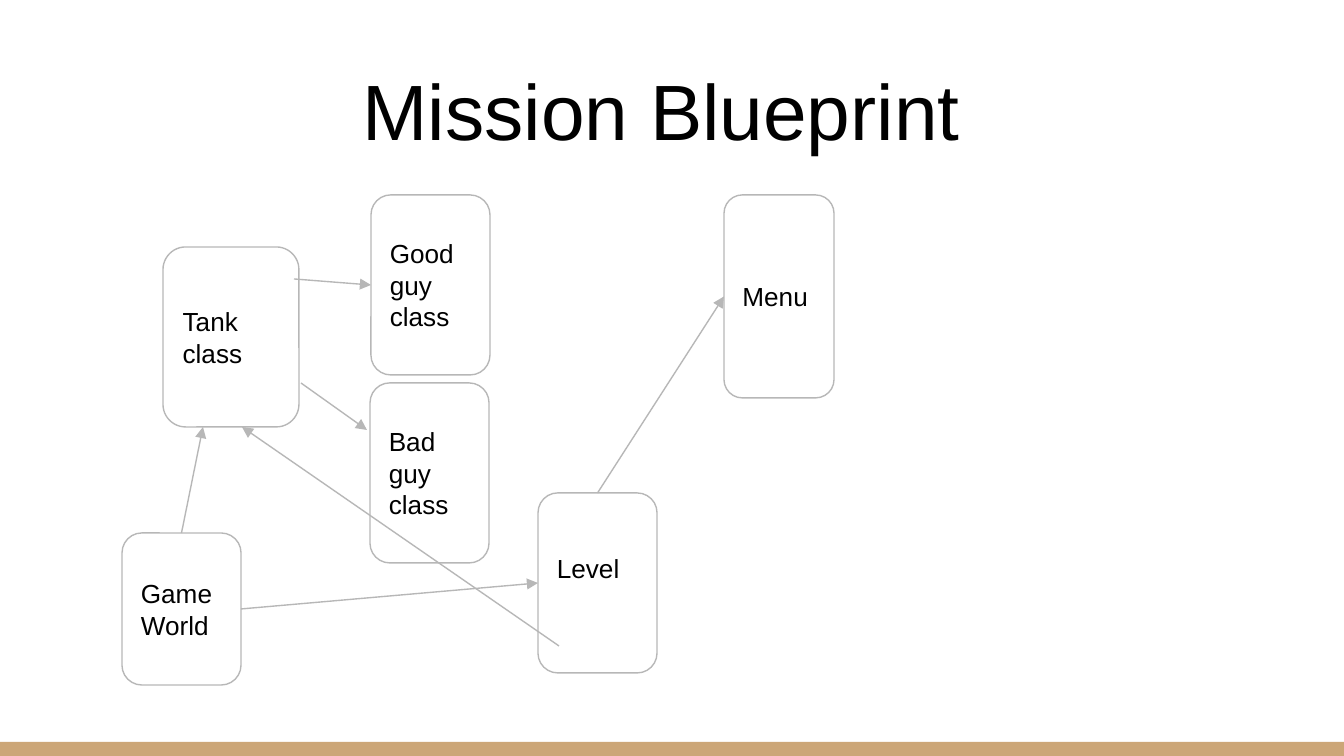
import lxml.etree
import pptx
import pptx.dml.color
import pptx.enum.shapes
import pptx.enum.text
import pptx.oxml.ns
import pptx.util

RGBColor = pptx.dml.color.RGBColor
WHITE = RGBColor(0xFF, 0xFF, 0xFF)
BLACK = RGBColor(0x00, 0x00, 0x00)
GRAY = RGBColor(0xB7, 0xB7, 0xB7)
TAN = RGBColor(0xCC, 0xA6, 0x77)

FONT = "Arial"
PX_PER_INCH = 134.4
INSET = 13
TOP, LEFT, BOTTOM, RIGHT = range(4)


def px(length):
    """Turn whole px into EMU."""
    return pptx.util.Emu(round(length * 914400 / PX_PER_INCH))


def write_text(shape, text, size=14, align=pptx.enum.text.PP_ALIGN.LEFT,
               anchor=pptx.enum.text.MSO_ANCHOR.MIDDLE, bottom_inset=INSET):
    frame = shape.text_frame
    frame.word_wrap = True
    frame.auto_size = pptx.enum.text.MSO_AUTO_SIZE.NONE
    frame.vertical_anchor = anchor
    frame.margin_left = frame.margin_right = frame.margin_top = px(INSET)
    frame.margin_bottom = px(bottom_inset)
    paragraph = frame.paragraphs[0]
    paragraph.alignment = align
    run = paragraph.add_run()
    run.text = text
    run.font.size = pptx.util.Pt(size)
    run.font.name = FONT
    run.font.color.rgb = BLACK


class Diagram:
    """Style and elements of the class diagram slide."""

    line_width = pptx.util.Pt(0.75)

    def __init__(self, slide):
        self.slide = slide

    def title(self, text, left, top, width, height):
        shape = self.slide.shapes.title
        shape.left, shape.top = px(left), px(top)
        shape.width, shape.height = px(width), px(height)
        write_text(shape, text, size=42, align=pptx.enum.text.PP_ALIGN.CENTER,
                   anchor=pptx.enum.text.MSO_ANCHOR.BOTTOM)

    def bar(self, left, top, width, height):
        shape = self.slide.shapes.add_shape(
            pptx.enum.shapes.MSO_SHAPE.RECTANGLE,
            px(left), px(top), px(width), px(height))
        shape.shadow.inherit = False
        shape.fill.solid()
        shape.fill.fore_color.rgb = TAN
        shape.line.fill.background()

    def box(self, text, left, top, width=119, height=180, **text_format):
        shape = self.slide.shapes.add_shape(
            pptx.enum.shapes.MSO_SHAPE.ROUNDED_RECTANGLE,
            px(left), px(top), px(width), px(height))
        shape.shadow.inherit = False
        shape.fill.solid()
        shape.fill.fore_color.rgb = WHITE
        shape.line.color.rgb = GRAY
        shape.line.width = self.line_width
        write_text(shape, text, **text_format)
        return shape

    def arrow(self, start, end):
        """Each end is a point (x, y) in px or a pair (box, side)."""
        points = [(0, 0) if hasattr(place[0], "text_frame") else place
                  for place in (start, end)]
        (x1, y1), (x2, y2) = points
        connector = self.slide.shapes.add_connector(
            pptx.enum.shapes.MSO_CONNECTOR.STRAIGHT,
            px(x1), px(y1), px(x2), px(y2))
        for place, connect in ((start, connector.begin_connect),
                               (end, connector.end_connect)):
            if hasattr(place[0], "text_frame"):
                connect(*place)
        connector.line.color.rgb = GRAY
        connector.line.width = self.line_width
        qn = pptx.oxml.ns.qn
        lxml.etree.SubElement(connector.line._get_or_add_ln(),
                              qn("a:tailEnd"), type="triangle")
        lxml.etree.SubElement(connector._element.spPr, qn("a:effectLst"))


def main():
    presentation = pptx.Presentation()
    presentation.slide_width = px(1344)
    presentation.slide_height = px(756)
    title_only = presentation.slide_layouts[5]
    diagram = Diagram(presentation.slides.add_slide(title_only))

    # Footer bar and title
    diagram.bar(0, 742, 1344, 14)
    diagram.title("Mission Blueprint ", 46, 47, 1252, 122)

    # Class boxes
    diagram.box("Tank class", 163, 247, width=136)
    good_guy = diagram.box("Good guy class", 371, 195)
    diagram.box("Bad guy class", 370, 383)
    game_world = diagram.box("Game World", 122, 533, height=152)
    level = diagram.box("Level", 538, 493, bottom_inset=INSET + 30)
    menu = diagram.box("Menu", 724, 195, width=110, height=203)

    # Arrows between the classes
    diagram.arrow((294, 279), (good_guy, LEFT))
    diagram.arrow((301, 383), (367, 430))
    diagram.arrow((game_world, TOP), (203, 427))
    diagram.arrow((game_world, RIGHT), (level, LEFT))
    diagram.arrow((level, TOP), (menu, LEFT))
    diagram.arrow((559, 646), (242, 427))

    presentation.save("out.pptx")


if __name__ == "__main__":
    main()
